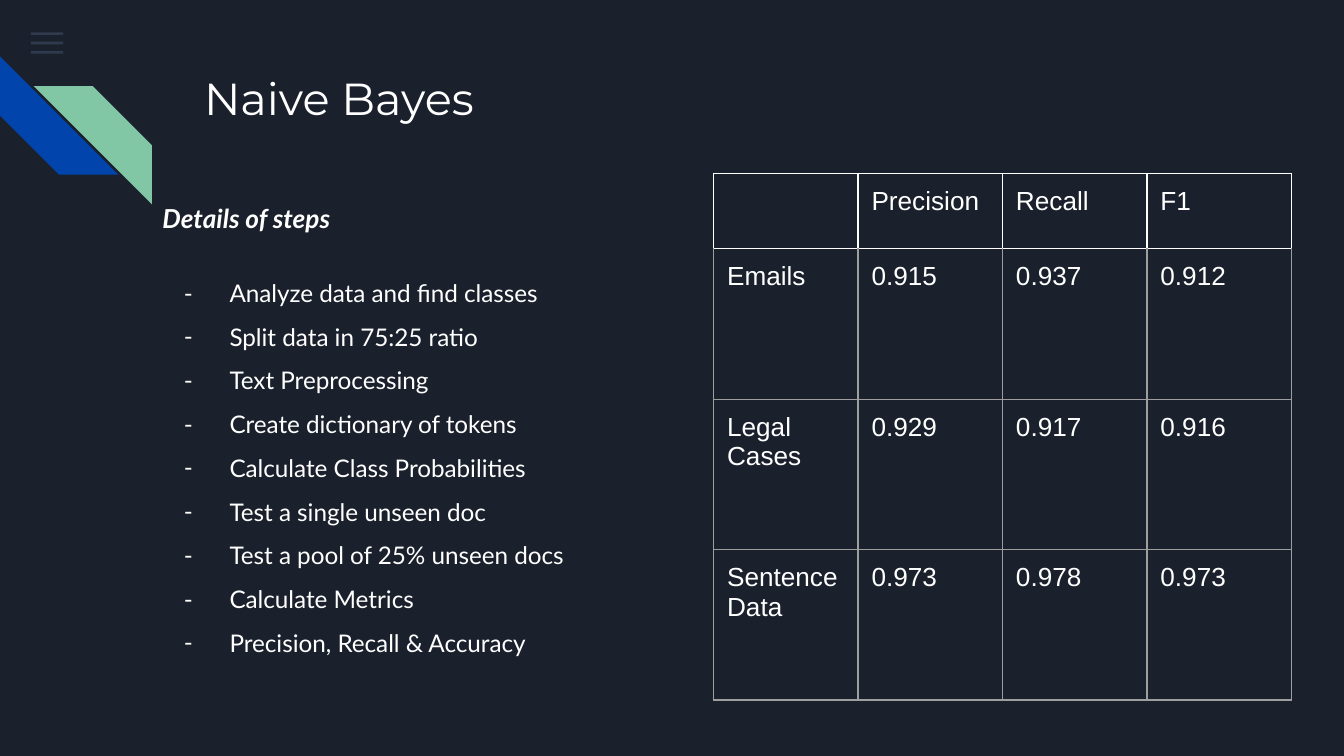
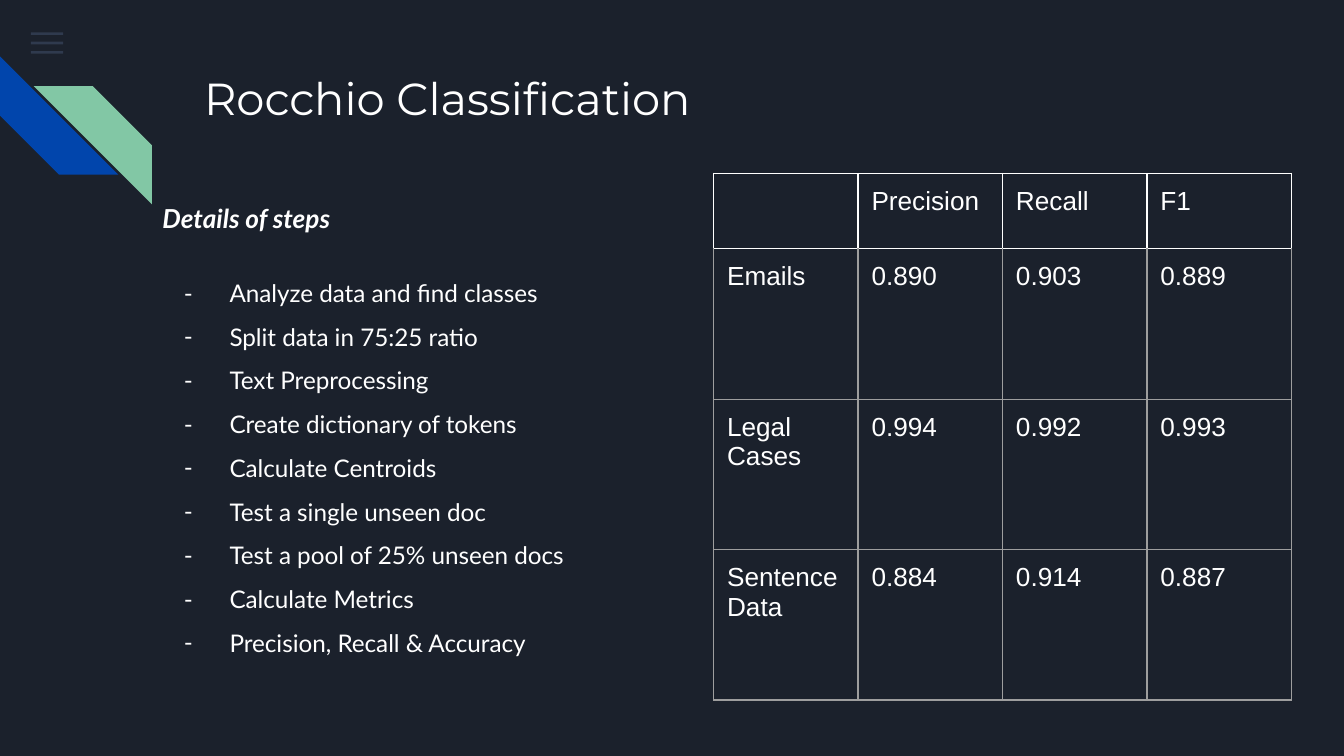
from dataclasses import dataclass

from lxml.etree import SubElement
from pptx import Presentation
from pptx.dml.color import RGBColor
from pptx.enum.shapes import MSO_SHAPE
from pptx.oxml.ns import qn
from pptx.util import Inches, Pt


@dataclass(frozen=True)
class Theme:
    back: str = "1B212C"
    text: str = "FFFFFF"
    menu: str = "55688B"
    blue: str = "0145AC"
    green: str = "82C7A5"
    grid: str = "9E9E9E"
    title_font: str = "Montserrat"
    body_font: str = "Lato"
    table_font: str = "Arial"
    title_size: int = 24
    head_size: int = 14
    step_size: int = 13
    table_size: int = 14


THEME = Theme()
PAD = 0.1
HEADING = "Details of steps"
COLUMNS = ("", "Precision", "Recall", "F1")


def list_steps(model):
    return [
        "Analyze data and find classes",
        "Split data in 75:25 ratio",
        "Text Preprocessing",
        "Create dictionary of tokens",
        f"Calculate {model}",
        "Test a single unseen doc",
        "Test a pool of 25% unseen docs",
        "Calculate Metrics",
        "Precision, Recall & Accuracy",
    ]


SLIDES = [
    {
        "title": "Naive Bayes",
        "model": "Class Probabilities",
        "scores": [
            ("Emails", "0.915", "0.937", "0.912"),
            ("Legal Cases", "0.929", "0.917", "0.916"),
            ("Sentence Data", "0.973", "0.978", "0.973"),
        ],
    },
    {
        "title": "Rocchio Classification",
        "model": "Centroids",
        "scores": [
            ("Emails", "0.890", "0.903", "0.889"),
            ("Legal Cases", "0.994", "0.992", "0.993"),
            ("Sentence Data", "0.884", "0.914", "0.887"),
        ],
    },
]


def style(para, font, size, bold=False, italic=False):
    for run in para.runs:
        run.font.name = font
        run.font.size = Pt(size)
        run.font.bold = bold
        run.font.italic = italic
        run.font.color.rgb = RGBColor.from_string(THEME.text)


def set_pad(box):
    box.margin_left = box.margin_right = Inches(PAD)
    box.margin_top = box.margin_bottom = Inches(PAD)


def add_form(slide, kind, place, color):
    form = slide.shapes.add_shape(kind, *map(Inches, place))
    form.shadow.inherit = False
    form.fill.solid()
    form.fill.fore_color.rgb = RGBColor.from_string(color)
    form.line.fill.background()
    return form


def add_decor(slide):
    """Draw the menu mark and the two corner stripes."""
    for row in range(3):
        place = (0.23, 0.24 + 0.07 * row, 0.24, 0.02)
        bar = add_form(slide, MSO_SHAPE.RECTANGLE, place, THEME.menu)
        tint = bar._element.spPr.find(".//" + qn("a:srgbClr"))
        SubElement(tint, qn("a:alpha"), val="36000")
    stripe = MSO_SHAPE.DIAGONAL_STRIPE
    blue = add_form(slide, stripe, (0, 0.42, 0.88, 0.88), THEME.blue)
    blue.rotation = 270
    green = add_form(slide, stripe, (0.25, 0.64, 0.88, 0.88), THEME.green)
    green._element.spPr.xfrm.set("flipH", "1")


def add_box(slide, place):
    frame = slide.shapes.add_textbox(*map(Inches, place)).text_frame
    frame.word_wrap = True
    set_pad(frame)
    return frame


def add_title(slide, title):
    frame = add_box(slide, (1.42, 0.43, 7.7, 1))
    frame.text = title
    style(frame.paragraphs[0], THEME.title_font, THEME.title_size)


def add_dash(para):
    props = para._p.get_or_add_pPr()
    props.set("marL", str(Inches(0.5)))
    props.set("indent", str(Inches(-0.34)))
    tint = SubElement(props, qn("a:buClr"))
    SubElement(tint, qn("a:srgbClr"), val=THEME.text)
    SubElement(props, qn("a:buFont"), typeface=THEME.body_font)
    SubElement(props, qn("a:buChar"), char="-")


def add_steps(slide, steps):
    frame = add_box(slide, (1.11, 1.29, 4.03, 3.93))
    frame.text = "\n".join([HEADING, *steps])
    head, *items = frame.paragraphs
    style(head, THEME.body_font, THEME.head_size, bold=True, italic=True)
    for item in items:
        add_dash(item)
        style(item, THEME.body_font, THEME.step_size)
    for para in frame.paragraphs:
        para.line_spacing = 1.5
    items[0].space_before = Pt(16)


def add_edges(cell, row):
    props = cell._tc.get_or_add_tcPr()
    for side in ("L", "R", "T", "B"):
        bright = row == 0 or (row == 1 and side == "T")
        edge = SubElement(props, qn(f"a:ln{side}"), w=str(Pt(0.75)))
        fill = SubElement(edge, qn("a:solidFill"))
        color = THEME.text if bright else THEME.grid
        SubElement(fill, qn("a:srgbClr"), val=color)


def add_scores(slide, scores):
    rows = [COLUMNS, *scores]
    wide, head, tall = 4.3, 0.56, 1.12
    place = (5.31, 1.29, wide, head + tall * len(scores))
    table = slide.shapes.add_table(
        len(rows), len(COLUMNS), *map(Inches, place)
    ).table
    table.first_row = table.horz_banding = False
    for col in table.columns:
        col.width = Inches(wide / len(COLUMNS))
    for row, texts in enumerate(rows):
        table.rows[row].height = Inches(tall if row else head)
        for col, text in enumerate(texts):
            cell = table.cell(row, col)
            cell.text_frame.text = text
            set_pad(cell)
            style(cell.text_frame.paragraphs[0],
                  THEME.table_font, THEME.table_size)
            add_edges(cell, row)
            cell.fill.background()


def main():
    deck = Presentation()
    deck.slide_width = Inches(10)
    deck.slide_height = deck.slide_width * 9 // 16
    for data in SLIDES:
        slide = deck.slides.add_slide(deck.slide_layouts[6])
        back = slide.background.fill
        back.solid()
        back.fore_color.rgb = RGBColor.from_string(THEME.back)
        add_decor(slide)
        add_title(slide, data["title"])
        add_steps(slide, list_steps(data["model"]))
        add_scores(slide, data["scores"])
    deck.save("out.pptx")


if __name__ == "__main__":
    main()
